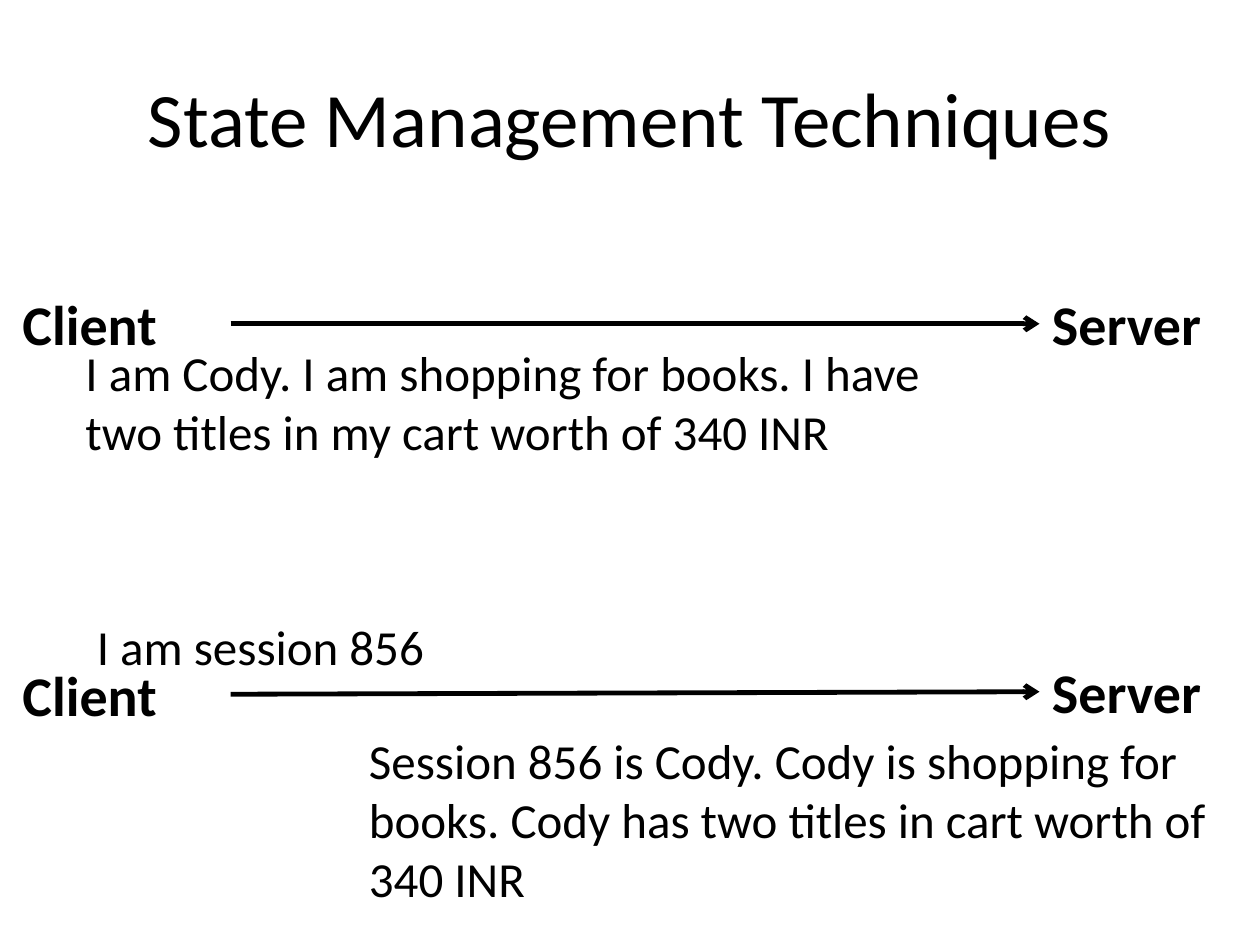
import pptx
import pptx.util
import pptx.dml.color
import pptx.enum.shapes
import pptx.enum.text
import pptx.oxml
import pptx.oxml.ns

COLORS = {"ink": "000000", "paper": "FFFFFF"}
FORMATS = {
    "title": {"size": pptx.util.Pt(44), "bold": False},
    "endpoint": {"size": pptx.util.Pt(32), "bold": True},
    "message": {"size": pptx.util.Pt(28), "bold": False},
}
LABEL_W, LABEL_H = 1.75, 0.64
CLIENT_X, SERVER_X = 0.08, 8.25
MESSAGE_W = 6.92


class Deck:
    """Holds the style and the current slide; lengths are in inches of a 10 x 7.5 grid."""

    def __init__(self, font="Calibri"):
        self.font = font
        self.prs = pptx.Presentation()
        self.prs.slide_width = pptx.util.Inches(10)
        self.prs.slide_height = pptx.util.Inches(7.5)
        self.s = self.prs.slides.add_slide(self.prs.slide_layouts[5])
        fill = self.s.background.fill
        fill.solid()
        fill.fore_color.rgb = self.color("paper")

    def color(self, name):
        return pptx.dml.color.RGBColor.from_string(COLORS[name])

    def fill_text(self, tf, text, style):
        tf.word_wrap = True
        r = tf.paragraphs[0].add_run()
        r.text = text
        for name, value in {"name": self.font, **FORMATS[style]}.items():
            setattr(r.font, name, value)
        r.font.color.rgb = self.color("ink")

    def title(self, text, x, y, w, h):
        sp = self.s.shapes.title
        for name, value in {"left": x, "top": y, "width": w, "height": h}.items():
            setattr(sp, name, pptx.util.Inches(value))
        tf = sp.text_frame
        tf.vertical_anchor = pptx.enum.text.MSO_ANCHOR.MIDDLE
        tf.paragraphs[0].alignment = pptx.enum.text.PP_ALIGN.CENTER
        self.fill_text(tf, text, "title")

    def text(self, text, style, x, y, w, h):
        sp = self.s.shapes.add_textbox(*map(pptx.util.Inches, (x, y, w, h)))
        self.fill_text(sp.text_frame, text, style)
        sp.text_frame.auto_size = pptx.enum.text.MSO_AUTO_SIZE.SHAPE_TO_FIT_TEXT

    def arrow(self, x1, y1, x2, y2):
        cn = self.s.shapes.add_connector(
            pptx.enum.shapes.MSO_CONNECTOR.STRAIGHT,
            *map(pptx.util.Inches, (x1, y1, x2, y2)))
        cn.line.width = pptx.util.Pt(2.75)
        cn.line.color.rgb = self.color("ink")
        ns = pptx.oxml.ns.nsdecls("a")
        props = cn.element.spPr
        props.get_or_add_ln().append(
            pptx.oxml.parse_xml(f'<a:tailEnd {ns} type="arrow"/>'))
        props.append(pptx.oxml.parse_xml(f"<a:effectLst {ns}/>"))

    def exchange(self, client_y, server_y):
        """Client and server labels joined by an arrow at their mid-heights."""
        for name, x, y in (("Client", CLIENT_X, client_y), ("Server", SERVER_X, server_y)):
            self.text(name, "endpoint", x, y, LABEL_W, LABEL_H)
        self.arrow(CLIENT_X + LABEL_W, client_y + LABEL_H / 2,
                   SERVER_X, server_y + LABEL_H / 2)


def main():
    deck = Deck()
    deck.title("State Management Techniques", 0.5, 0.3, 9, 1.25)
    deck.exchange(2.25, 2.25)
    deck.exchange(5.19, 5.17)
    messages = (
        ("I am Cody. I am shopping for books. I have two titles in my cart "
         "worth of 340 INR", 0.58, 2.67, 1.04),
        ("Session 856 is Cody. Cody is shopping for books. Cody has two titles "
         "in cart worth of 340 INR", 2.83, 5.75, 1.51),
        ("I am session 856", 0.67, 4.84, 0.57),
    )
    for text, x, y, h in messages:
        deck.text(text, "message", x, y, MESSAGE_W, h)
    deck.prs.save("out.pptx")


if __name__ == "__main__":
    main()
